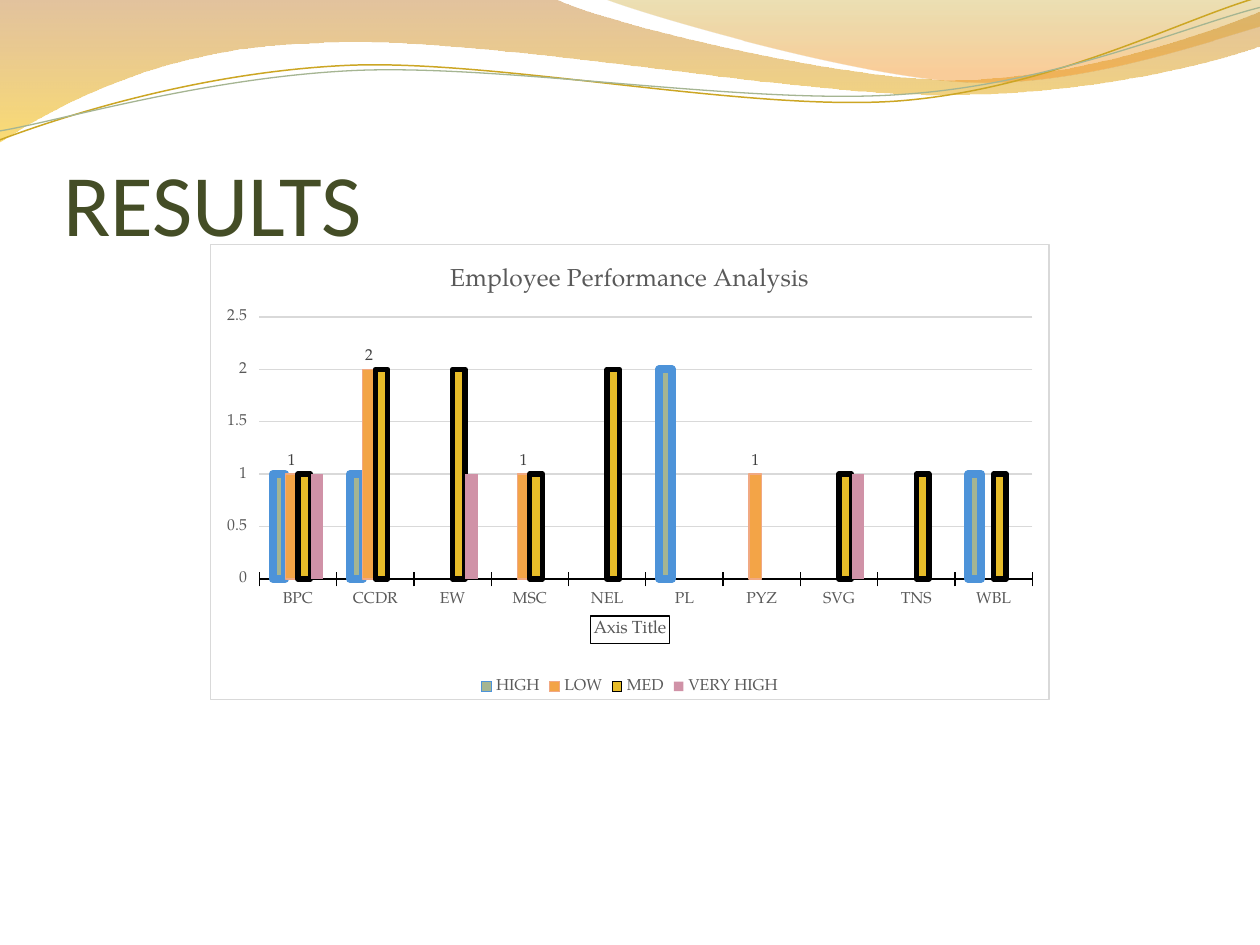
from dataclasses import dataclass

from lxml.etree import SubElement as Sub
from pptx import Presentation
from pptx.chart.data import CategoryChartData as Data
from pptx.dml.color import RGBColor as Rgb
from pptx.enum.chart import XL_CHART_TYPE as Kind
from pptx.enum.chart import XL_LABEL_POSITION as Label
from pptx.enum.chart import XL_LEGEND_POSITION as Place
from pptx.enum.chart import XL_TICK_MARK as Tick
from pptx.enum.text import MSO_ANCHOR as Anchor
from pptx.enum.text import PP_ALIGN as Align
from pptx.oxml import parse_xml
from pptx.oxml.ns import nsdecls, qn
from pptx.util import Cm, Pt


@dataclass
class Theme:
    head: str = "Calibri"
    body: str = "TeX Gyre Pagella"
    olive: str = "444D26"
    gray: str = "595959"
    dark: str = "404040"
    grid: str = "D9D9D9"
    black: str = "000000"
    white: str = "FFFFFF"
    huge: float = 50
    large: float = 14
    base: float = 10
    small: float = 9
    thin: float = 0.75


# Each wave step is a line (x, y) or a curve (two controls and an end), in cm
BANDS = [
    ([(0, 0), (11.18, -0.03),
      (12.09, 0.43, 16.87, 1.6, 19.25, 1.6),
      (21.67, 1.6, 24.33, 0.66, 25.4, 0.23),
      (25.43, 0.91),
      (24.97, 1.12, 22.1, 1.93, 18.95, 1.91),
      (15.8, 1.91, 9.7, 0.71, 6.53, 0.86),
      (3.28, 0.91, 1.17, 2.11, -0.03, 2.87)],
     [(0, "C07A28", 45), (1, "F7BF00", 55)]),
    ([(12.17, -0.03),
      (12.93, 0.28, 17.32, 1.57, 19.53, 1.65),
      (21.74, 1.75, 24.41, 0.81, 25.4, 0.53),
      (25.4, 0)],
     [(0, "C09709", 30), (0.8, "F59320", 45)]),
]
TILT = 357.3
LINES = [
    ([(-0.05, 2.22),
      (1.19, 1.82, 4.02, 1.04, 7.05, 1.05),
      (10.05, 1.07, 15.02, 2.37, 18.08, 2.29),
      (21.13, 2.2, 23.87, 0.91, 25.41, 0.55)], "CCA624", 0.85),
    ([(-0.04, 2.04),
      (1.16, 1.9, 4.18, 1.15, 7.2, 1.16),
      (10.25, 1.18, 15.13, 2.25, 18.19, 2.16),
      (21.21, 2.1, 23.93, 1.06, 25.45, 0.75)], "A5B592", 0.75),
]

CATS = ["BPC", "CCDR", "EW", "MSC", "NEL", "PL", "PYZ", "SVG", "TNS", "WBL"]
NIL = None
# Name, values, fill, outline colour and width
SERIES = [
    ("HIGH", [1, 1, NIL, NIL, NIL, 2, NIL, NIL, NIL, 1], "A5B592", ("4D93D9", 4.5)),
    ("LOW", [1, 2, NIL, 1, NIL, NIL, 1, NIL, NIL, NIL], "F3A447", ("F1A983", 0.75)),
    ("MED", [1, 2, 2, 1, 2, NIL, NIL, 1, 1, 1], "E7BC29", ("000000", 3)),
    ("VERY HIGH", [1, NIL, 1, NIL, NIL, NIL, NIL, 1, NIL, NIL], "D092A7", NIL),
]


def put(item, vals):
    for key, val in vals.items():
        setattr(item, key, val)


class Deck:
    def __init__(self, theme):
        self.theme = theme
        self.prs = Presentation()
        put(self.prs, {"slide_width": Cm(25.4), "slide_height": Cm(19.05)})
        self.slide = self.prs.slides.add_slide(self.prs.slide_layouts[5])

    def font(self, font, size, color, name=None):
        put(font, {"name": name or self.theme.body, "size": Pt(size), "bold": False})
        font.color.rgb = Rgb.from_string(color)

    def fill(self, item, color):
        item.fill.solid()
        item.fill.fore_color.rgb = Rgb.from_string(color)

    def line(self, item, color, width):
        item.line.color.rgb = Rgb.from_string(color)
        item.line.width = Pt(width)

    def wave(self, steps, shut):
        """Draw the steps, then join each three points of a curve as one Bezier."""
        first, *rest = steps
        pen = self.slide.shapes.build_freeform(Cm(first[0]), Cm(first[1]))
        for step in rest:
            dots = [(Cm(x), Cm(y)) for x, y in zip(step[::2], step[1::2])]
            pen.add_line_segments(dots, close=shut and step is rest[-1])
        shape = pen.convert_to_shape()
        shape.shadow.inherit = False
        legs = list(shape._element.iter(qn("a:lnTo")))
        for step in rest:
            part, legs = legs[:len(step) // 2], legs[len(step) // 2:]
            if len(part) == 3:
                bend = parse_xml(f'<a:cubicBezTo {nsdecls("a")}/>')
                part[0].addprevious(bend)
                for leg in part:
                    bend.append(leg[0])
                    leg.getparent().remove(leg)
        return shape

    def band(self, steps, stops):
        shape = self.wave(steps, True)
        shape.line.fill.background()
        shape.fill.gradient()
        shape.fill.gradient_angle = 270
        for stop, (at, color, alpha) in zip(shape.fill.gradient_stops, stops):
            stop.position = at
            stop.color.rgb = Rgb.from_string(color)
        marks = shape._element.spPr.iter(qn("a:srgbClr"))
        for mark, (at, color, alpha) in zip(marks, stops):
            Sub(mark, qn("a:alpha"), val=str(alpha * 1000))

    def curve(self, steps, color, width):
        shape = self.wave(steps, False)
        shape.rotation = TILT
        shape.fill.background()
        self.line(shape, color, width)

    def title(self, text):
        box = self.slide.shapes.title
        self.slide.shapes._spTree.append(box._element)  # in front of the waves
        put(box, {"left": Cm(1.27), "top": Cm(1.96), "width": Cm(22.86), "height": Cm(3.17)})
        frame = box.text_frame
        put(frame, {"text": text, "vertical_anchor": Anchor.BOTTOM, "margin_left": 0,
                    "margin_right": 0, "margin_top": Cm(0.13), "margin_bottom": 0})
        para = frame.paragraphs[0]
        para.alignment = Align.LEFT
        look = self.theme
        self.font(para.runs[0].font, look.huge, look.olive, look.head)

    def chart(self, text):
        look = self.theme
        data = Data()
        data.categories = CATS
        for name, vals, *_ in SERIES:
            data.add_series(name, vals)
        chart = self.slide.shapes.add_chart(
            Kind.COLUMN_CLUSTERED, Cm(4.23), Cm(4.92), Cm(16.93), Cm(9.19), data).chart
        self.font(chart.font, look.base, look.black)
        head = chart.chart_title.text_frame
        head.text = text
        self.font(head.paragraphs[0].runs[0].font, look.large, look.gray)

        # Legend
        chart.has_legend = True
        put(chart.legend, {"position": Place.BOTTOM, "include_in_layout": False})
        self.font(chart.legend.font, look.small, look.gray)

        # Axes
        cat, val = chart.category_axis, chart.value_axis
        for axis in (cat, val):
            put(axis, {"major_tick_mark": Tick.CROSS, "minor_tick_mark": Tick.NONE})
            self.font(axis.tick_labels.font, look.small, look.gray)
        self.line(cat.format, look.black, look.thin)
        val.format.line.fill.background()
        self.line(val.major_gridlines.format, look.grid, look.thin)

        # Axis title with its automatic wording
        cat.has_title = True
        name = cat.axis_title
        self.line(name.format, look.black, look.thin)
        name._element.append(parse_xml(
            f'<c:txPr {nsdecls("c", "a")}><a:bodyPr/><a:p><a:pPr>'
            f'<a:defRPr sz="{look.base * 100}" b="0"><a:solidFill>'
            f'<a:srgbClr val="{look.gray}"/></a:solidFill>'
            f'<a:latin typeface="{look.body}"/></a:defRPr></a:pPr></a:p></c:txPr>'))

        # Columns
        plot = chart.plots[0]
        put(plot, {"gap_width": 214, "overlap": 0, "vary_by_categories": False})
        for col, (name, vals, color, edge) in zip(plot.series, SERIES):
            col.invert_if_negative = False
            self.fill(col.format, color)
            if edge:
                self.line(col.format, *edge)
                Sub(col._element.spPr.find(qn("a:ln")), qn("a:round"))
            if name == "LOW":
                tags = col.data_labels
                put(tags, {"show_value": True, "position": Label.OUTSIDE_END})
                self.font(tags.font, look.small, look.dark)

        # Background and border
        chart._chartSpace.find(qn("c:txPr")).addprevious(parse_xml(
            f'<c:spPr {nsdecls("c", "a")}><a:solidFill><a:srgbClr val="{look.white}"/>'
            f'</a:solidFill><a:ln w="{Pt(look.thin)}"><a:solidFill>'
            f'<a:srgbClr val="{look.grid}"/></a:solidFill></a:ln></c:spPr>'))


def main():
    deck = Deck(Theme())
    # Waves along the top
    for band in BANDS:
        deck.band(*band)
    for line in LINES:
        deck.curve(*line)
    # Heading and chart
    deck.title("RESULTS")
    deck.chart("Employee Performance Analysis")
    deck.prs.save("out.pptx")


if __name__ == "__main__":
    main()
